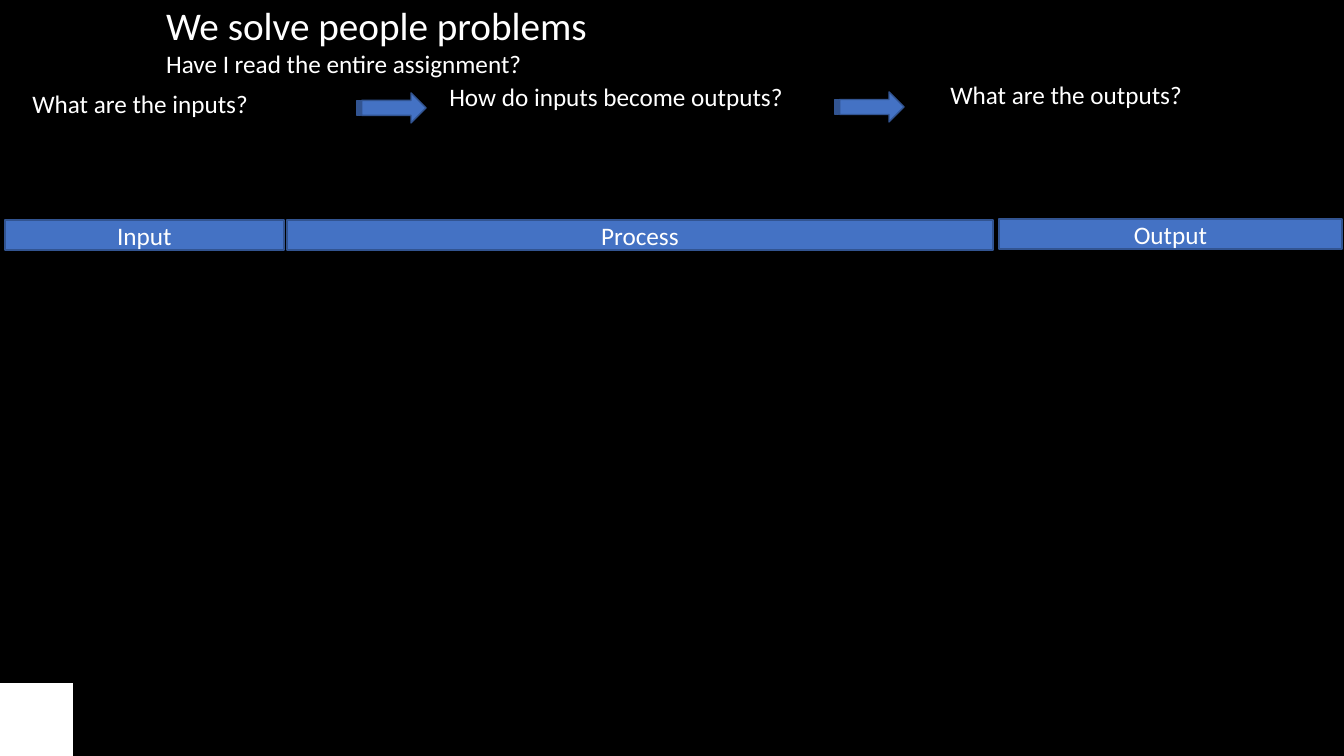
from pptx import Presentation
from pptx.dml.color import RGBColor
from pptx.enum.shapes import MSO_SHAPE as Shape
from pptx.enum.text import MSO_ANCHOR as Anchor, PP_ALIGN as Align
from pptx.util import Pt

THEME = {
    "font": "Calibri",
    "background": RGBColor(0x00, 0x00, 0x00),
    "text": RGBColor(0xFF, 0xFF, 0xFF),
    "accent": RGBColor(0x44, 0x72, 0xC4),
    "edge": RGBColor(0x32, 0x54, 0x91),
    "heading": 28,
    "body": 18,
}
PX = 914400 / 100.8


def px(*lengths):
    return [round(length * PX) for length in lengths]


def write(frame, text, sizes=(THEME["body"],), align=Align.LEFT, anchor=Anchor.TOP, level=0):
    frame.word_wrap = True
    frame.vertical_anchor = anchor
    frame.text = text
    for paragraph, size in zip(frame.paragraphs, sizes):
        paragraph.level = level
        paragraph.alignment = align
        paragraph.font.name = THEME["font"]
        paragraph.font.size = Pt(size)
        paragraph.font.color.rgb = THEME["text"]


deck = Presentation()
deck.slide_width, deck.slide_height = px(1344, 756)
slide = deck.slides.add_slide(deck.slide_layouts[5])
slide.background.fill.solid()
slide.background.fill.fore_color.rgb = THEME["background"]
shapes = slide.shapes

heading = shapes.title
heading.left, heading.top, heading.width, heading.height = px(156, -4, 912, 119)
write(heading.text_frame, "We solve people problems\nHave I read the entire assignment?",
      sizes=(THEME["heading"], THEME["body"]))

corner = shapes.add_shape(Shape.RECTANGLE, *px(0, 683, 73, 73))
corner.shadow.inherit = False
corner.fill.solid()
corner.fill.fore_color.rgb = THEME["text"]
corner.line.fill.background()

stages = [
    (Shape.RECTANGLE, "Process", 287, 220, 706),
    (Shape.RECTANGLE, "Input", 5, 220, 279),
    (Shape.RECTANGLE, "Output", 999, 219, 343),
    (Shape.STRIPED_RIGHT_ARROW, "", 357, 93, 69),
    (Shape.STRIPED_RIGHT_ARROW, "", 835, 92, 69),
]
for outline, label, left, top, width in stages:
    stage = shapes.add_shape(outline, *px(left, top, width, 30))
    stage.shadow.inherit = False
    stage.fill.solid()
    stage.fill.fore_color.rgb = THEME["accent"]
    stage.line.color.rgb = THEME["edge"]
    stage.line.width = Pt(1)
    if label:
        write(stage.text_frame, label, align=Align.CENTER, anchor=Anchor.MIDDLE)

questions = [
    ("What are the inputs?", -28, 83, 357),
    ("What are the outputs?", 890, 74, 414),
    ("How do inputs become outputs?", 389, 76, 440),
]
for question, left, top, width in questions:
    prompt = shapes.add_textbox(*px(left, top, width, 40))
    write(prompt.text_frame, question, level=1)

deck.save("out.pptx")
